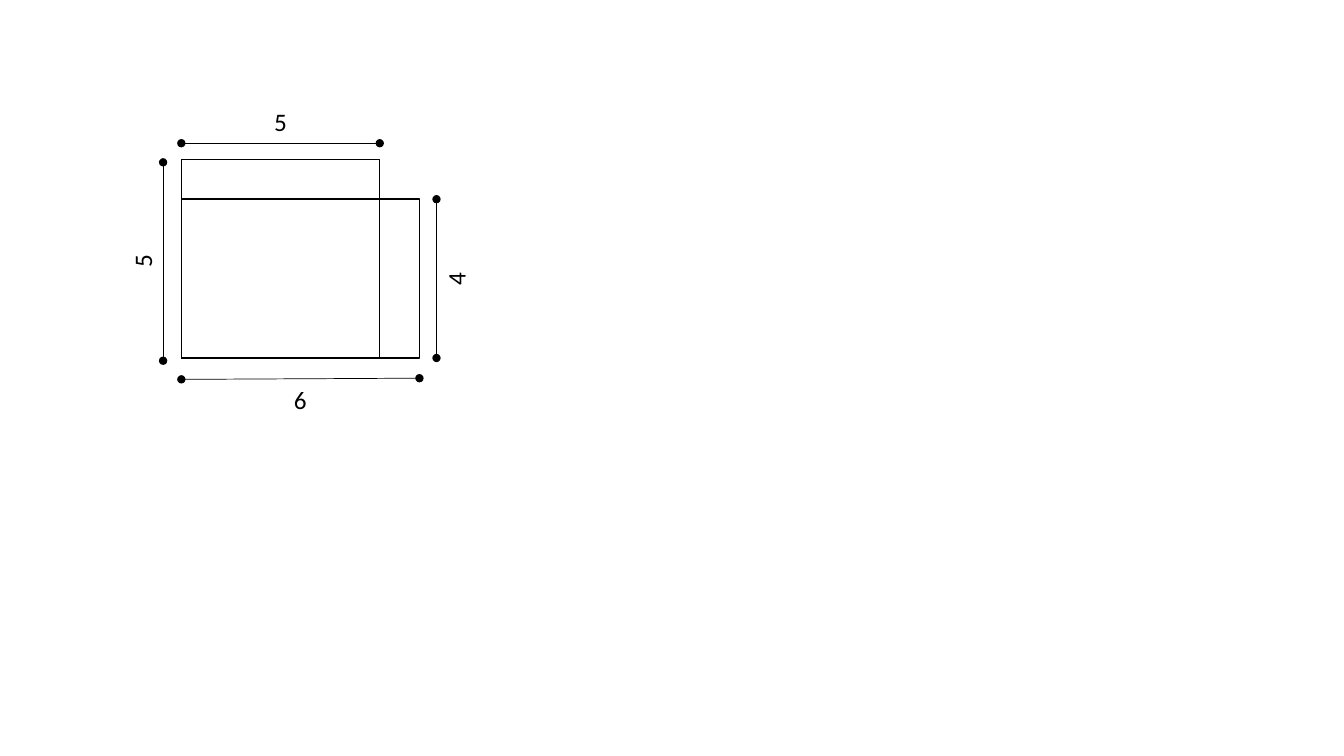
from dataclasses import dataclass
from math import hypot

from lxml import etree
from pptx import Presentation
from pptx.dml.color import RGBColor
from pptx.enum.shapes import MSO_CONNECTOR, MSO_SHAPE
from pptx.enum.text import MSO_ANCHOR, PP_ALIGN
from pptx.oxml.ns import qn
from pptx.util import Cm, Pt

RECT = MSO_SHAPE.RECTANGLE
STRAIGHT = MSO_CONNECTOR.STRAIGHT
CENTER = PP_ALIGN.CENTER
TOP = MSO_ANCHOR.TOP


@dataclass(frozen=True)
class Theme:
    ink: RGBColor = RGBColor(0, 0, 0)
    font: str = "Calibri"
    label_size: int = 18
    outline: float = 1
    dimension: float = 0.5


THEME = Theme()
LABEL_HEIGHT = 1.03


def add_outline(shapes, x, y, width, height):
    sp = shapes.add_shape(RECT, Cm(x), Cm(y), Cm(width), Cm(height))
    sp.shadow.inherit = False
    sp.fill.background()
    sp.line.color.rgb = THEME.ink
    sp.line.width = Pt(THEME.outline)


def add_dimension_line(shapes, start, end):
    line = shapes.add_connector(STRAIGHT, *map(Cm, start + end))
    line.line.color.rgb = THEME.ink
    line.line.width = Pt(THEME.dimension)
    # Round dots at both ends
    ln = line.line._get_or_add_ln()
    for tag in ("a:headEnd", "a:tailEnd"):
        etree.SubElement(ln, qn(tag), type="oval")
    etree.SubElement(line._element.spPr, qn("a:effectLst"))


def add_label(shapes, text, center, width, rotation):
    x, y = center
    sp = shapes.add_textbox(Cm(x - width / 2), Cm(y - LABEL_HEIGHT / 2),
                            Cm(width), Cm(LABEL_HEIGHT))
    sp.rotation = rotation
    tf = sp.text_frame
    tf.word_wrap = True
    tf.vertical_anchor = TOP
    p = tf.paragraphs[0]
    p.alignment = CENTER
    r = p.add_run()
    r.text = text
    r.font.name = THEME.font
    r.font.size = Pt(THEME.label_size)
    r.font.color.rgb = THEME.ink


def add_dimensioned_rectangles(s, left, top, square, wide, tall):
    """Square and lower rectangle share a bottom-left corner; one unit is 1 cm."""
    shapes = s.shapes.add_group_shape().shapes

    # Overlapping outlines
    step = square - tall
    add_outline(shapes, left, top, square, square)
    add_outline(shapes, left, top + step, wide, tall)

    # Dimensions: start, end, label offset from the line's middle, rotation
    dimensions = [
        ((0, -0.41), (square, -0.41), (0, -0.53), 0),
        ((0, square + 0.54), (wide, square + 0.51), (0, 0.54), 0),
        ((-0.46, 0.07), (-0.46, square + 0.07), (-0.52, 0), 270),
        ((wide + 0.43, step), (wide + 0.43, square), (0.49, 0), 270),
    ]
    for (x1, y1), (x2, y2), (dx, dy), rotation in dimensions:
        length = round(hypot(x2 - x1, y2 - y1))
        add_dimension_line(shapes, (left + x1, top + y1), (left + x2, top + y2))
        center = (left + (x1 + x2) / 2 + dx, top + (y1 + y2) / 2 + dy)
        add_label(shapes, str(length), center, length, rotation)


prs = Presentation()
prs.slide_width, prs.slide_height = Cm(33.87), Cm(19.05)
s = prs.slides.add_slide(prs.slide_layouts[6])
add_dimensioned_rectangles(s, left=4.57, top=4.02, square=5, wide=6, tall=4)
prs.save("out.pptx")
